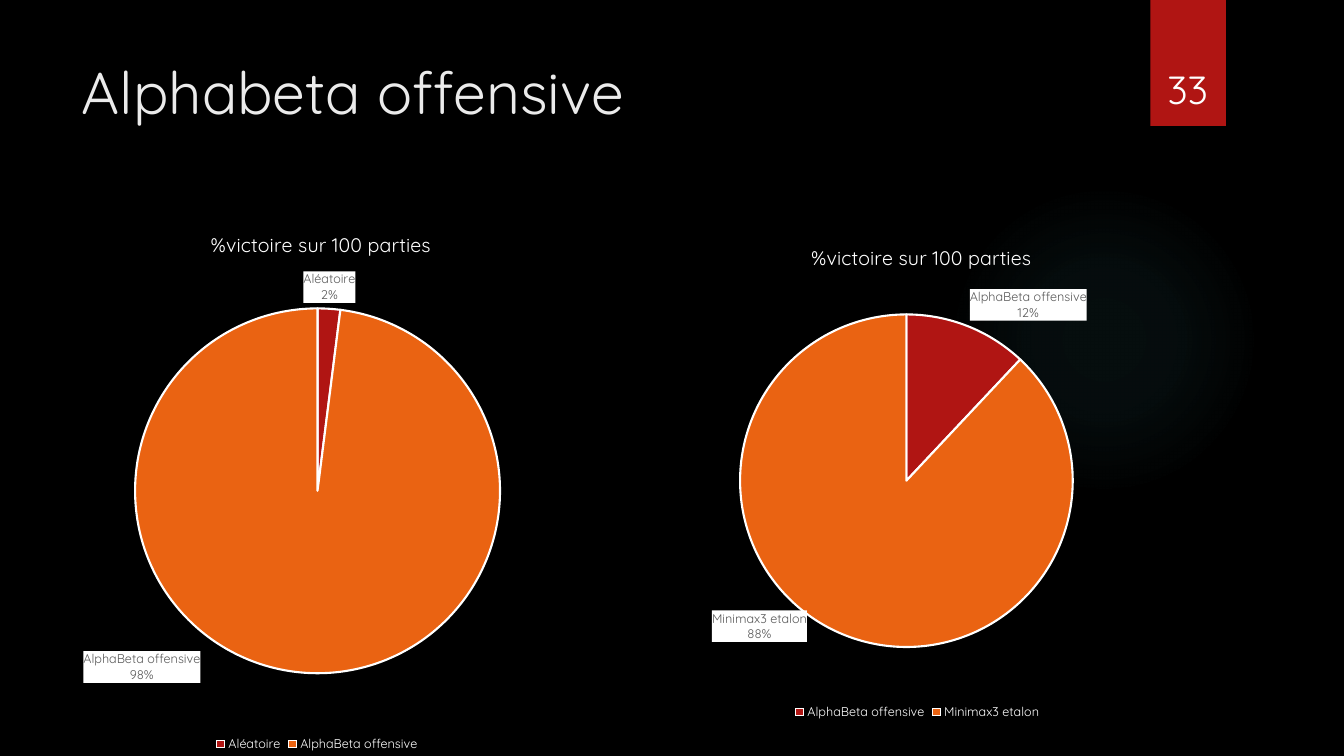
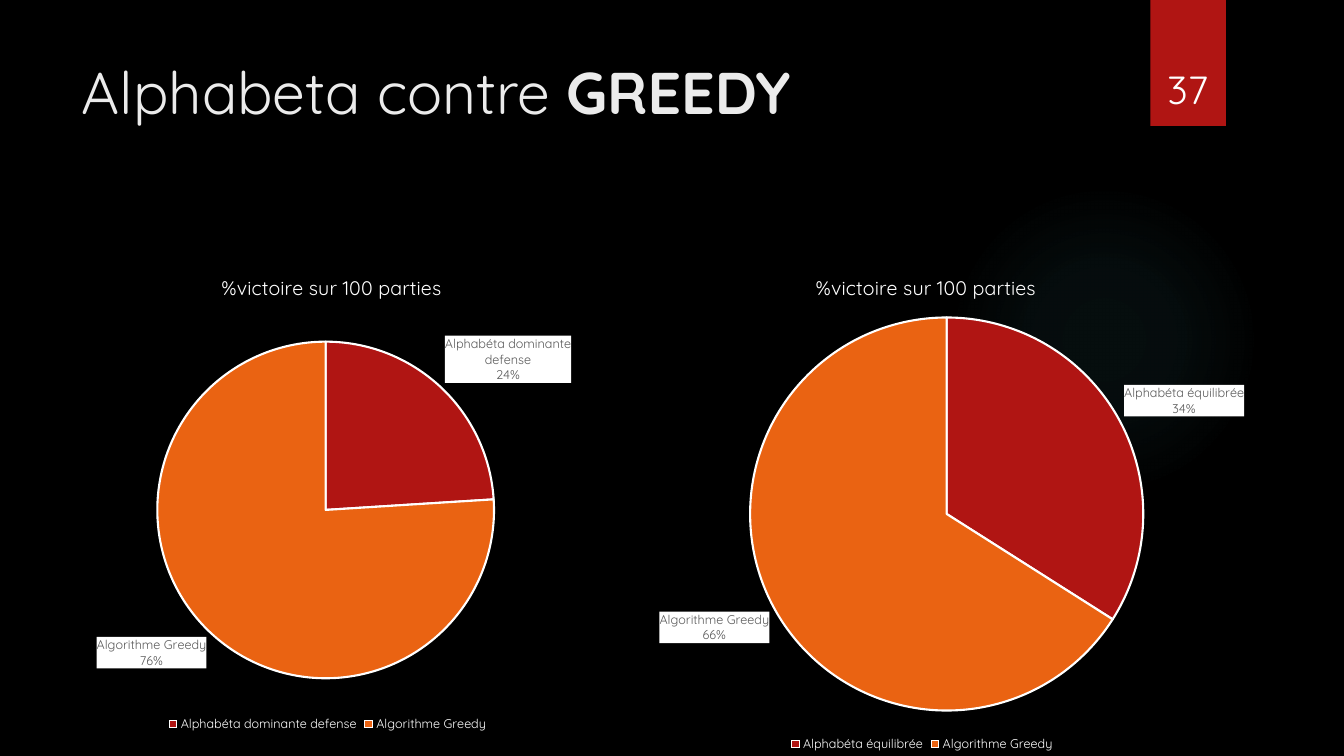
from dataclasses import dataclass

import pptx
import pptx.chart.data
import pptx.dml.color
import pptx.enum.chart
import pptx.enum.shapes
import pptx.enum.text
import pptx.oxml
import pptx.oxml.ns
import pptx.util

RGBColor = pptx.dml.color.RGBColor
Inches = pptx.util.Inches
Pt = pptx.util.Pt

BLACK = RGBColor(0x00, 0x00, 0x00)
WHITE = RGBColor(0xFF, 0xFF, 0xFF)
TITLE_GREY = RGBColor(0xEB, 0xEB, 0xEB)
LABEL_GREY = RGBColor(0x59, 0x59, 0x59)
RED = RGBColor(0xB0, 0x15, 0x13)
ORANGE = RGBColor(0xEA, 0x63, 0x12)
GLOW = RGBColor(0x50, 0xB9, 0xC1)

FONT = "Quicksand"
SLIDE_WIDTH, SLIDE_HEIGHT = 13.33, 7.5
CHART_TITLE = "%victoire sur 100 parties"
CHART_TITLE_WIDTH, CHART_TITLE_TOP = 2.18, 0.22
GLOW_STOPS = ((0, 7), (36, 6), (69, 0))
TITLE_ONLY = 5


@dataclass(frozen=True)
class Box:
    left: float
    top: float
    width: float
    height: float

    def lengths(self) -> tuple:
        return tuple(Inches(side) for side in (self.left, self.top, self.width, self.height))


@dataclass(frozen=True)
class Pie:
    """One pie chart; label_shift moves the second label, in shares of the chart."""
    frame: Box
    center: tuple[float, float]
    radius: float
    shares: dict[str, int]
    label_shift: tuple[float, float] | None = None


@dataclass(frozen=True)
class Page:
    number: int
    title: str
    pies: tuple[Pie, ...]
    bold_ending: str = ""


TITLE_BOX = Box(0.71, 0.5, 10.29, 1.53)
GLOW_BOX = Box(9.41, 1.83, 3.08, 3.08)
BAND_BOX = Box(11.41, 0, 0.75, 1.25)
NUMBER_BOX = Box(11.32, 0.32, 0.92, 0.84)

PAGES = (
    Page(33, "Alphabeta offensive", (
        Pie(Box(-0.92, 2.03, 8.13, 5.47), (3.15, 4.87), 1.81,
            {"Aléatoire": 2, "AlphaBeta offensive": 98}, (-0.2, -0.05)),
        Pie(Box(4.62, 2.16, 8.96, 5.02), (8.99, 4.77), 1.65,
            {"AlphaBeta offensive": 12, "Minimax3 etalon": 88}, (-0.04, -0.06)),
    )),
    Page(37, "Alphabeta contre ", (
        Pie(Box(-0.35, 2.45, 7.2, 4.85), (3.23, 5.06), 1.67,
            {"Alphabéta dominante defense": 24, "Algorithme Greedy": 76}),
        Pie(Box(5.7, 2.45, 6.89, 5.05), (9.39, 5.1), 1.95,
            {"Alphabéta équilibrée": 34, "Algorithme Greedy": 66}),
    ), bold_ending="GREEDY"),
)


def xml(markup: str):
    """Parse markup whose root may use the a: and c: prefixes."""
    root, rest = markup.split(">", 1)
    return pptx.oxml.parse_xml(f"{root} {pptx.oxml.ns.nsdecls('a', 'c')}>{rest}")


def add_span(para, text: str, *, size: float, color: RGBColor, bold: bool = False) -> None:
    span = para.add_run()
    span.text = text
    span.font.name = FONT
    span.font.size = Pt(size)
    span.font.bold = bold
    span.font.color.rgb = color


def layout_markup(inner: bool = False, **values: float) -> str:
    target = '<c:layoutTarget val="inner"/>' if inner else ""
    modes = '<c:xMode val="edge"/><c:yMode val="edge"/>' if "edge" in values else ""
    sides = "".join(f'<c:{side} val="{values[side]:.4f}"/>' for side in "xywh" if side in values)
    return f"<c:layout><c:manualLayout>{target}{modes}{sides}</c:manualLayout></c:layout>"


def add_shape(slide, kind, box: Box):
    shape = slide.shapes.add_shape(kind, *box.lengths())
    shape.shadow.inherit = False
    shape.line.fill.background()
    return shape


def add_decor(slide, number: int) -> None:
    """Draw the glow, the red band and the page number."""
    kinds = pptx.enum.shapes.MSO_SHAPE
    glow = add_shape(slide, kinds.OVAL, GLOW_BOX)
    stops = "".join(
        f'<a:gs pos="{place * 1000}"><a:srgbClr val="{GLOW}">'
        f'<a:alpha val="{alpha * 1000}"/></a:srgbClr></a:gs>'
        for place, alpha in GLOW_STOPS)
    gradient = xml(
        f'<a:gradFill><a:gsLst>{stops}</a:gsLst><a:path path="circle">'
        '<a:fillToRect l="50000" t="50000" r="50000" b="50000"/></a:path></a:gradFill>')
    glow.element.xpath("./p:spPr/a:prstGeom")[0].addnext(gradient)

    band = add_shape(slide, kinds.RECTANGLE, BAND_BOX)
    band.fill.solid()
    band.fill.fore_color.rgb = RED

    frame = slide.shapes.add_textbox(*NUMBER_BOX.lengths()).text_frame
    frame.word_wrap = True
    frame.vertical_anchor = pptx.enum.text.MSO_ANCHOR.BOTTOM
    para = frame.paragraphs[0]
    para.alignment = pptx.enum.text.PP_ALIGN.CENTER
    add_span(para, str(number), size=28, color=WHITE)


def add_title(slide, page: Page) -> None:
    title = slide.shapes.title
    title.left, title.top, title.width, title.height = TITLE_BOX.lengths()
    title.text_frame.vertical_anchor = pptx.enum.text.MSO_ANCHOR.TOP
    para = title.text_frame.paragraphs[0]
    para.alignment = pptx.enum.text.PP_ALIGN.LEFT
    add_span(para, page.title, size=42, color=TITLE_GREY)
    if page.bold_ending:
        add_span(para, page.bold_ending, size=42, color=TITLE_GREY, bold=True)


def add_labels(series_element, shift: tuple[float, float] | None) -> None:
    """Put category and percentage on white tags outside the slices."""
    settings = (
        '<c:numFmt formatCode="0%" sourceLinked="0"/>'
        f'<c:spPr><a:solidFill><a:srgbClr val="{WHITE}"/></a:solidFill></c:spPr>'
        '<c:txPr><a:bodyPr/><a:p><a:pPr><a:defRPr sz="900">'
        f'<a:solidFill><a:srgbClr val="{LABEL_GREY}"/></a:solidFill>'
        f'<a:latin typeface="{FONT}"/></a:defRPr></a:pPr></a:p></c:txPr>'
        '<c:dLblPos val="outEnd"/><c:showLegendKey val="0"/><c:showVal val="0"/>'
        '<c:showCatName val="1"/><c:showSerName val="0"/><c:showPercent val="1"/>'
        '<c:showBubbleSize val="0"/><c:separator>\n</c:separator>')
    moved = ""
    if shift:
        place = layout_markup(x=shift[0], y=shift[1])
        moved = f'<c:dLbl><c:idx val="1"/>{place}{settings}</c:dLbl>'
    labels = xml(f'<c:dLbls>{moved}{settings}<c:showLeaderLines val="0"/></c:dLbls>')
    series_element.xpath("./c:cat")[0].addprevious(labels)


def place_chart_parts(chart, pie: Pie) -> None:
    """Fix the chart title and the circle inside the chart frame."""
    frame = pie.frame
    title_place = layout_markup(
        edge=1, x=0.5 - CHART_TITLE_WIDTH / 2 / frame.width, y=CHART_TITLE_TOP / frame.height)
    circle_place = layout_markup(
        inner=True, edge=1,
        x=(pie.center[0] - pie.radius - frame.left) / frame.width,
        y=(pie.center[1] - pie.radius - frame.top) / frame.height,
        w=2 * pie.radius / frame.width,
        h=2 * pie.radius / frame.height)
    for old in chart.element.xpath(".//c:title/c:layout | .//c:plotArea/c:layout"):
        old.getparent().remove(old)
    chart.element.xpath(".//c:title/c:tx")[0].addnext(xml(title_place))
    chart.element.xpath(".//c:plotArea")[0].insert(0, xml(circle_place))


def add_pie(slide, pie: Pie) -> None:
    data = pptx.chart.data.CategoryChartData()
    data.categories = list(pie.shares)
    data.add_series("Series 1", list(pie.shares.values()))
    chart = slide.shapes.add_chart(
        pptx.enum.chart.XL_CHART_TYPE.PIE, *pie.frame.lengths(), data).chart
    chart.font.name = FONT
    chart.font.size = Pt(10)
    chart.font.color.rgb = WHITE

    chart.has_title = True
    add_span(chart.chart_title.text_frame.paragraphs[0], CHART_TITLE, size=14, color=WHITE)

    chart.has_legend = True
    chart.legend.position = pptx.enum.chart.XL_LEGEND_POSITION.BOTTOM
    chart.legend.include_in_layout = False
    chart.legend.font.name = FONT
    chart.legend.font.size = Pt(9)
    chart.legend.font.color.rgb = WHITE

    plot = chart.plots[0]
    plot.vary_by_categories = True
    for index, color in enumerate((RED, ORANGE)):
        slice_format = plot.series[0].points[index].format
        slice_format.fill.solid()
        slice_format.fill.fore_color.rgb = color
        slice_format.line.color.rgb = WHITE
        slice_format.line.width = Pt(1.5)
    add_labels(chart.element.xpath(".//c:ser")[0], pie.label_shift)
    place_chart_parts(chart, pie)


def main() -> None:
    deck = pptx.Presentation()
    deck.slide_width, deck.slide_height = Inches(SLIDE_WIDTH), Inches(SLIDE_HEIGHT)
    background = deck.slide_master.background.fill
    background.solid()
    background.fore_color.rgb = BLACK
    for page in PAGES:
        slide = deck.slides.add_slide(deck.slide_layouts[TITLE_ONLY])
        add_decor(slide, page.number)
        add_title(slide, page)
        for pie in page.pies:
            add_pie(slide, pie)
    deck.save("out.pptx")


if __name__ == "__main__":
    main()
